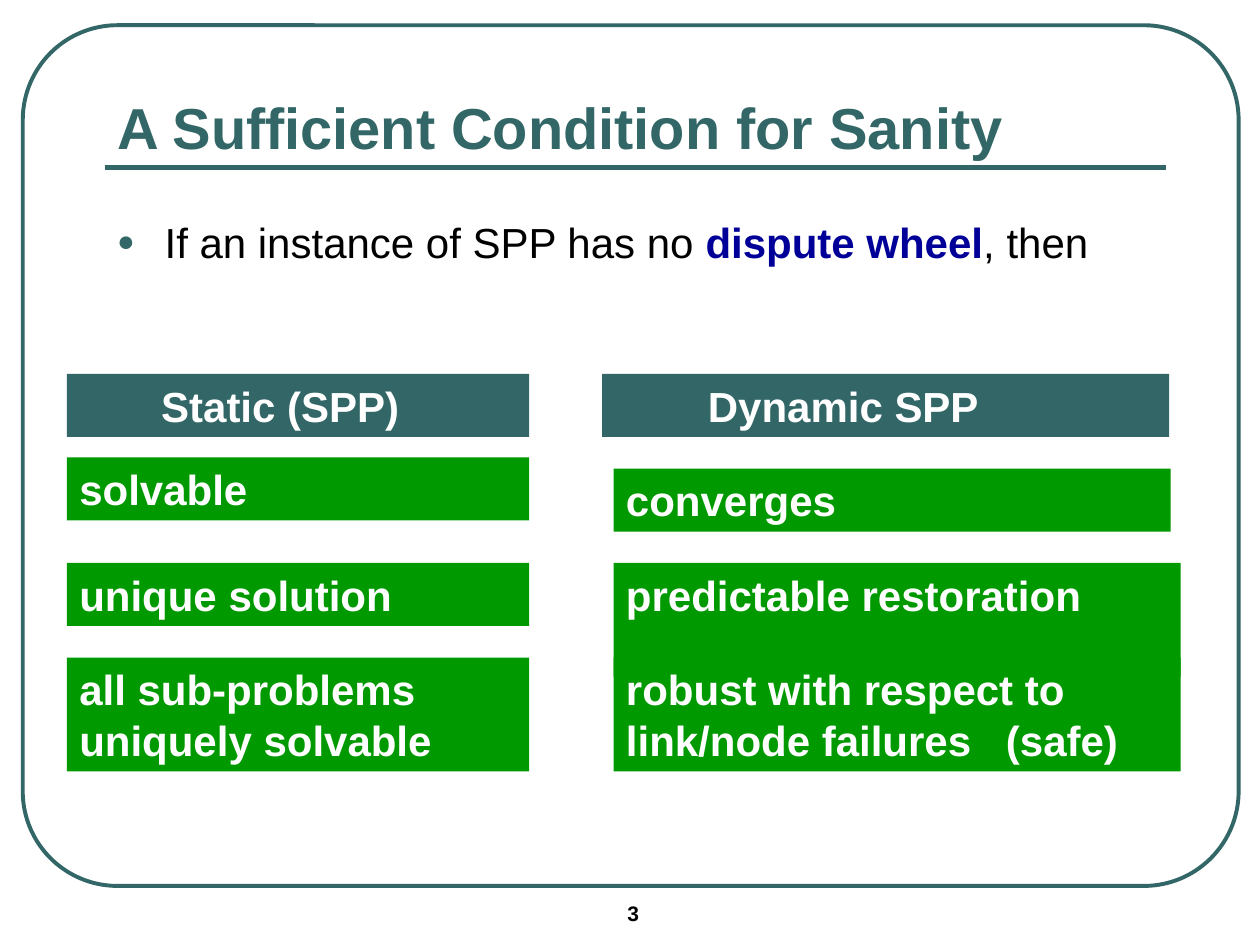
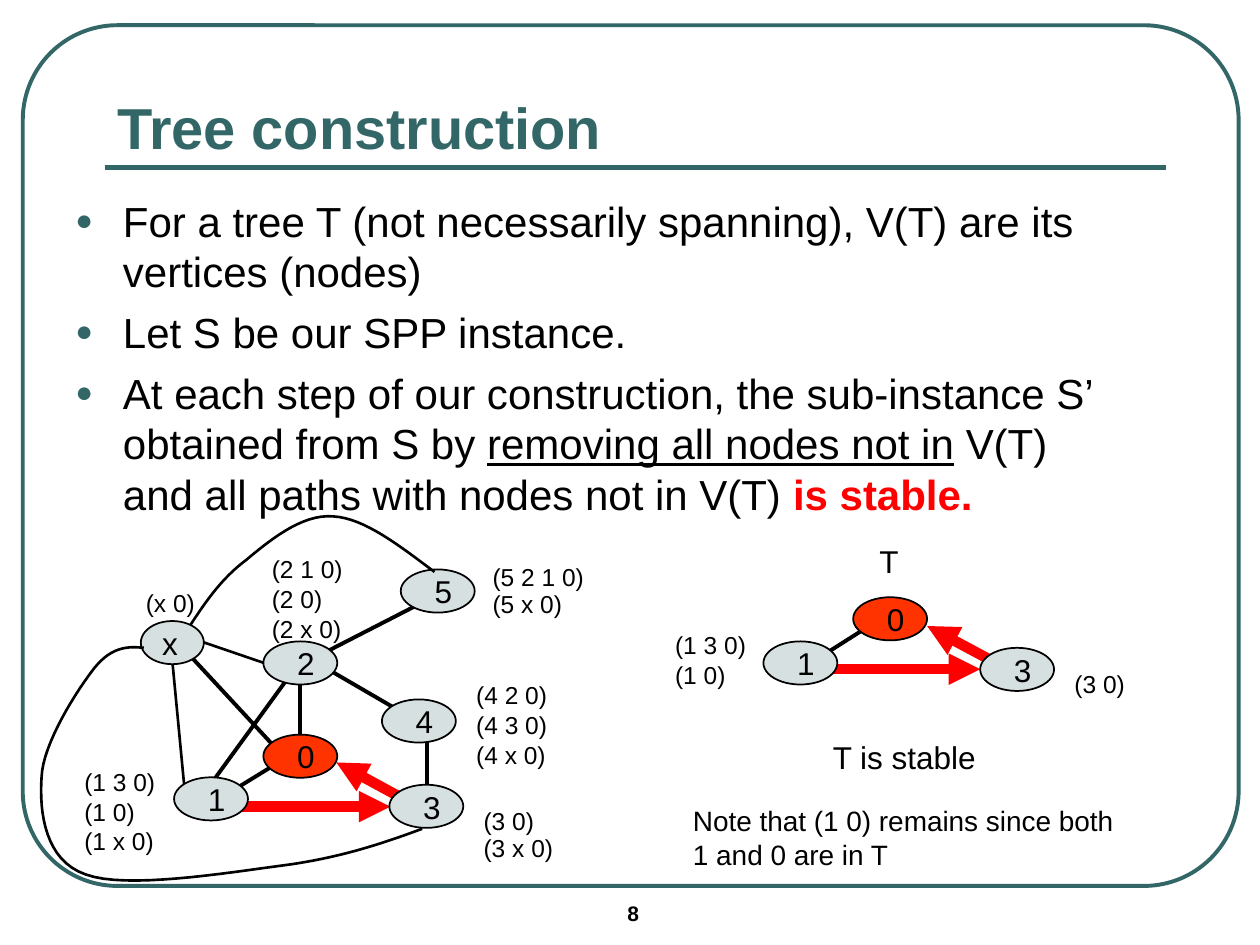
"""Build two slides on dispute wheels and tree construction."""
from dataclasses import dataclass
from typing import NamedTuple

from pptx import Presentation
from pptx.dml.color import RGBColor
from pptx.enum.shapes import MSO_CONNECTOR, MSO_SHAPE
from pptx.enum.text import MSO_ANCHOR, PP_ALIGN
from pptx.oxml import parse_xml
from pptx.oxml.ns import nsdecls
from pptx.util import Cm, Pt

TEAL = RGBColor(0x33, 0x66, 0x66)
GREEN = RGBColor(0x00, 0x99, 0x00)
NAVY = RGBColor(0x00, 0x00, 0x99)
RED = RGBColor(0xFF, 0x00, 0x00)
ORANGE = RGBColor(0xFF, 0x33, 0x00)
PALE = RGBColor(0xD6, 0xE0, 0xE0)
BLACK = RGBColor(0x00, 0x00, 0x00)
WHITE = RGBColor(0xFF, 0xFF, 0xFF)

FONT = "Arial"
NODE_W, NODE_H = 1.49, 0.87
CURVE_STEPS = 16


class Box(NamedTuple):
    """Place and size in centimetres."""
    x: float
    y: float
    w: float
    h: float

    def emu(self) -> list:
        """Return the four lengths for python-pptx."""
        return [Cm(v) for v in self]


@dataclass
class Run:
    """Text with its own emphasis."""
    text: str
    color: RGBColor | None = None
    bold: bool | None = None
    underline: bool | None = None


@dataclass
class Panel:
    """Filled caption on the first slide."""
    box: Box
    lines: list[str]
    fill: RGBColor = GREEN
    indent: float = 0
    tab: float = 0


@dataclass
class Node:
    """Vertex of a graph."""
    name: str
    x: float
    y: float
    w: float = NODE_W
    label_dx: float = 0.43
    fill: RGBColor = PALE


@dataclass
class Edge:
    """Straight link between two vertices."""
    x1: float
    y1: float
    x2: float
    y2: float
    width: float = 2.25
    color: RGBColor = BLACK
    arrow: bool = False


@dataclass
class Paths:
    """Ranked paths beside a vertex, the first few lines set tight."""
    x: float
    y: float
    lines: list[str]
    tight: int = 1


def red_arrow(x1: float, y1: float, x2: float, y2: float) -> Edge:
    """Return a thick red edge with an arrowhead."""
    return Edge(x1, y1, x2, y2, 6, RED, True)


def append_xml(parent, tag: str, inner: str = "") -> None:
    """Append a DrawingML element to its parent."""
    name = tag.split()[0]
    parent.append(parse_xml(f"<a:{tag} {nsdecls('a')}>{inner}</a:{name}>"))


def write(tf, paragraphs: list, *, size: float, color=BLACK, bold=False, anchor=MSO_ANCHOR.TOP,
          bullet=False, tight=0, indent=0.0, tab=0.0) -> None:
    """Fill a text frame with paragraphs of strings or runs."""
    tf.word_wrap = True
    tf.vertical_anchor = anchor
    for i, para in enumerate(paragraphs):
        p = tf.paragraphs[0] if i == 0 else tf.add_paragraph()
        p.alignment = PP_ALIGN.LEFT
        if i < tight:
            p.line_spacing = 0.93
        pPr = p._p.get_or_add_pPr()
        if bullet:
            p.space_before = Pt(6)
            pPr.set("marL", str(Cm(0.96)))
            pPr.set("indent", str(-Cm(0.96)))
            append_xml(pPr, "buClr", f'<a:srgbClr val="{TEAL}"/>')
            append_xml(pPr, 'buSzPct val="70000"')
            append_xml(pPr, f'buFont typeface="{FONT}"')
            append_xml(pPr, 'buChar char="●"')
        if indent:
            pPr.set("marL", str(Cm(indent)))
        if tab:
            append_xml(pPr, "tabLst", f'<a:tab pos="{Cm(tab)}" algn="l"/>')
        for run in [Run(para)] if isinstance(para, str) else para:
            r = p.add_run()
            r.text = run.text
            r.font.name = FONT
            r.font.size = Pt(size)
            r.font.color.rgb = run.color or color
            r.font.bold = run.bold or bold
            r.font.underline = run.underline


def add_text(s, box: Box, paragraphs: list, **fmt) -> None:
    """Add a text box."""
    write(s.shapes.add_textbox(*box.emu()).text_frame, paragraphs, **fmt)


def add_preset(s, kind, box: Box, fill=None, line=None, width=1.0):
    """Add a preset shape and return it."""
    sp = s.shapes.add_shape(kind, *box.emu())
    style(sp, fill, line, width)
    return sp


def style(sp, fill, line, width: float) -> None:
    """Set fill and outline, without a shadow."""
    sp.shadow.inherit = False
    for part, color in ((sp.fill, fill), (sp.line.fill, line)):
        if color is None:
            part.background()
        else:
            part.solid()
            part.fore_color.rgb = color
    if line is not None:
        sp.line.width = Pt(width)


def add_edge(s, e: Edge) -> None:
    """Draw a straight connector."""
    ends = [Cm(v) for v in (e.x1, e.y1, e.x2, e.y2)]
    c = s.shapes.add_connector(MSO_CONNECTOR.STRAIGHT, *ends)
    c.line.color.rgb = e.color
    c.line.width = Pt(e.width)
    if e.arrow:
        append_xml(c.line._get_or_add_ln(), 'tailEnd type="triangle"')
    append_xml(c._element.spPr, "effectLst")


def add_node(s, n: Node) -> None:
    """Draw a vertex and its name."""
    add_preset(s, MSO_SHAPE.OVAL, Box(n.x, n.y, n.w, NODE_H), n.fill, BLACK)
    add_text(s, Box(n.x + n.label_dx, n.y, 0.95, 0.97), [n.name], size=18, tight=1)


def add_curve(s, points: list[tuple[float, float]]) -> None:
    """Draw a chain of cubic Bézier curves as an open outline."""
    trace = []
    for k in range(0, len(points) - 1, 3):
        for step in range(1, CURVE_STEPS + 1):
            t = step / CURVE_STEPS
            weights = ((1 - t) ** 3, 3 * t * (1 - t) ** 2, 3 * t * t * (1 - t), t ** 3)
            trace.append(tuple(Cm(sum(w * pt[axis] for w, pt in zip(weights, points[k:k + 4])))
                               for axis in (0, 1)))
    fb = s.shapes.build_freeform(Cm(points[0][0]), Cm(points[0][1]))
    fb.add_line_segments(trace, close=False)
    style(fb.convert_to_shape(), None, BLACK, 1.5)


def add_base(prs, title: str, number: int):
    """Add a slide with its frame, title, rule and number."""
    s = prs.slides.add_slide(prs.slide_layouts[6])
    frame = add_preset(s, MSO_SHAPE.ROUNDED_RECTANGLE, Box(0.46, 0.51, 24.51, 17.35), None, TEAL, 2.25)
    frame.adjustments[0] = 0.11
    add_edge(s, Edge(2.11, 3.38, 23.5, 3.38, 3, TEAL))
    add_text(s, Box(2.11, 1.47, 21.39, 1.91), [title], size=33, color=TEAL, bold=True,
             anchor=MSO_ANCHOR.BOTTOM)
    add_text(s, Box(12.4, 18.03, 2.97, 0.84), [str(number)], size=12, bold=True)
    return s


LEFT, RIGHT = 1.35, 12.37
LEFT_W, RIGHT_W = 9.32, 11.43
LOW, TALL = 1.27, 2.29
HEADER_Y, FIRST_Y, SECOND_Y, THIRD_Y = 7.54, 9.22, 11.35, 13.26
PANELS = [
    Panel(Box(LEFT, HEADER_Y, LEFT_W, LOW), ["Static (SPP)"], TEAL, indent=1.65),
    Panel(Box(LEFT, FIRST_Y, LEFT_W, LOW), ["solvable"]),
    Panel(Box(LEFT, SECOND_Y, LEFT_W, LOW), ["unique solution"]),
    Panel(Box(LEFT, THIRD_Y, LEFT_W, TALL), ["all sub-problems", "uniquely solvable"]),
    Panel(Box(12.14, HEADER_Y, RIGHT_W, LOW), ["Dynamic SPP"], TEAL, indent=1.88),
    Panel(Box(RIGHT, 9.45, 11.23, LOW), ["converges"]),
    Panel(Box(RIGHT, SECOND_Y, RIGHT_W, TALL), ["predictable restoration"]),
    Panel(Box(RIGHT, THIRD_Y, RIGHT_W, TALL),
          ["robust with respect to link/node failures\t(safe)"], tab=7.66),
]

EDGES = [
    Edge(6.35, 13.34, 8.26, 14.45), Edge(6.05, 13.49, 6.05, 15.01),
    Edge(3.63, 13, 5.54, 15.06), Edge(6.4, 13.23, 8.66, 12.07),
    Edge(8.61, 14.66, 8.61, 16.26), Edge(5.92, 13.51, 4.24, 15.82),
    Edge(6.07, 15.09, 4.67, 15.95),
    Edge(5.31, 13.36, 4.11, 12.95, 1.5), Edge(3.71, 15.8, 3.48, 13.39, 1.5),
    red_arrow(8.18, 16.13, 6.78, 15.37), red_arrow(4.52, 16.26, 7.87, 16.26),
    Edge(17.96, 12.34, 16.59, 13.21),
    red_arrow(20.07, 13.36, 18.69, 12.62), red_arrow(16.43, 13.49, 19.76, 13.49),
]
NODES = [
    Node("5", 8.08, 11.48), Node("0", 5.31, 14.81, fill=ORANGE), Node("3", 7.85, 15.82),
    Node("4", 7.7, 14.1), Node("2", 5.31, 12.93), Node("1", 3.51, 15.67),
    Node("x", 2.84, 12.52, 1.27, 0.18),
    Node("0", 17.2, 12.04, fill=ORANGE), Node("3", 19.76, 13.06), Node("1", 15.39, 12.93),
]
PATHS = [
    Paths(9.68, 11.25, ["(5 2 1 0)", "(5 x 0)"], 2),
    Paths(5.23, 11.1, ["(2 1 0)", "(2 0)", "(2 x 0)"]),
    Paths(1.45, 15.39, ["(1 3 0)", "(1 0)", "(1 x 0)"]),
    Paths(9.5, 16.18, ["(3 0)", "(3 x 0)"], 2),
    Paths(9.35, 13.64, ["(4 2 0)", "(4 3 0)", "(4 x 0)"]),
    Paths(2.69, 11.73, ["(x 0)"], 0),
    Paths(13.36, 12.62, ["(1 3 0)", "(1 0)"]),
    Paths(21.41, 13.41, ["(3 0)"]),
]
CURVE_X_TO_5 = [
    (8.76, 11.53), (8.05, 11), (7.34, 10.44), (6.71, 10.41), (6.07, 10.36), (5.41, 10.92),
    (4.95, 11.3), (4.47, 11.66), (4.14, 12.14), (3.84, 12.6),
]
CURVE_X_TO_3 = [
    (8.51, 16.71), (7.67, 17.02), (6.83, 17.3), (5.69, 17.45), (4.55, 17.6), (2.54, 17.93),
    (1.73, 17.63), (0.91, 17.35), (0.79, 16.38), (0.84, 15.67), (0.86, 14.99), (1.57, 13.89),
    (1.91, 13.46), (2.26, 13.03), (2.59, 13.03), (2.9, 13.06),
]


def build_sanity(prs) -> None:
    """Build the slide on the sufficient condition."""
    s = add_base(prs, "A Sufficient Condition for Sanity", 3)
    claim = [Run("If an instance of SPP has no "), Run("dispute wheel", NAVY, True), Run(", then")]
    add_text(s, Box(2.11, 4.24, 21.39, 12.27), [claim], size=24, bullet=True)
    for panel in PANELS:
        sp = add_preset(s, MSO_SHAPE.RECTANGLE, panel.box, panel.fill)
        write(sp.text_frame, panel.lines, size=24, color=WHITE, bold=True,
              indent=panel.indent, tab=panel.tab)


def build_tree(prs) -> None:
    """Build the slide on tree construction."""
    s = add_base(prs, "Tree construction", 8)
    add_text(s, Box(1.27, 3.81, 21.39, 6.99), [
        "For a tree T (not necessarily spanning), V(T) are its vertices (nodes)",
        "Let S be our SPP instance.",
        [Run("At each step of our construction, the sub-instance S’ obtained from S by "),
         Run("removing all nodes not in", underline=True),
         Run(" V(T) and all paths with nodes not in V(T) "),
         Run("is stable.", RED, True)],
    ], size=24, bullet=True)
    for edge in EDGES:
        add_edge(s, edge)
    for node in NODES:
        add_node(s, node)
    for curve in (CURVE_X_TO_5, CURVE_X_TO_3):
        add_curve(s, curve)
    for paths in PATHS:
        add_text(s, Box(paths.x, paths.y, 2.6, 0.67 * len(paths.lines)), paths.lines,
                 size=14, tight=paths.tight)
    add_text(s, Box(17.48, 10.8, 1, 1.02), ["T"], size=18)
    add_text(s, Box(16.54, 14.76, 3.6, 1.02), ["T is stable"], size=18)
    add_text(s, Box(13.72, 16.08, 9.4, 1.63),
             ["Note that (1 0) remains since both", "1 and 0 are in T"], size=16)


def main() -> None:
    """Build and save the presentation."""
    prs = Presentation()
    prs.slide_width, prs.slide_height = Cm(25.4), Cm(19.05)
    build_sanity(prs)
    build_tree(prs)
    prs.save("out.pptx")


if __name__ == "__main__":
    main()
